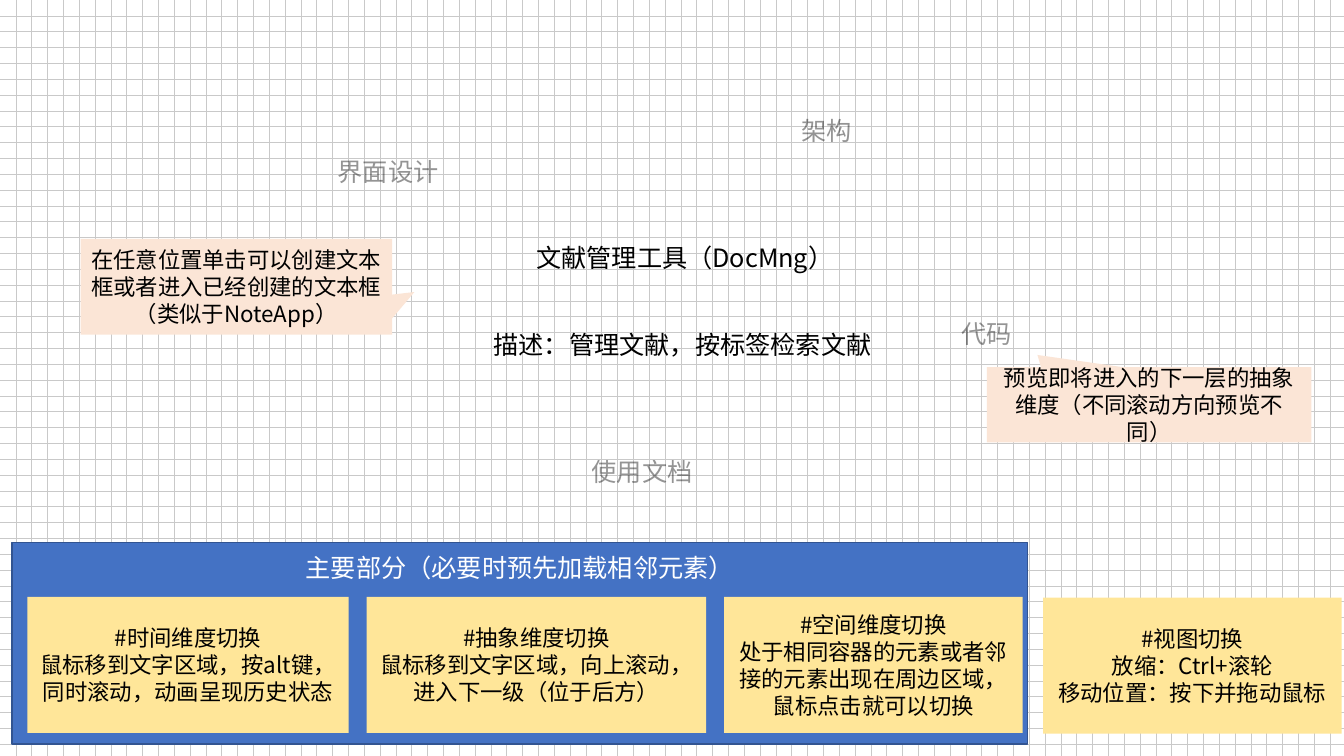
"""Build the slide that outlines a literature management tool."""
import pptx
import pptx.util
import pptx.dml.color
import pptx.enum.dml
import pptx.enum.shapes
import pptx.enum.text
import lxml.etree

Cm = pptx.util.Cm
SHAPE = pptx.enum.shapes.MSO_SHAPE
ANCHOR = pptx.enum.text.MSO_ANCHOR
ALIGN = pptx.enum.text.PP_ALIGN
FONT = "Noto Sans CJK SC"
COLORS = {
    "grid": "C9C9C9", "white": "FFFFFF", "black": "000000", "blue": "4472C4",
    "edge": "325491", "yellow": "FFE699", "peach": "FBE5D6",
}


def rgb(name):
    return pptx.dml.color.RGBColor.from_string(COLORS[name])


def write(box, lines, size=18, color="black", align=ALIGN.LEFT, anchor=ANCHOR.TOP,
          wrap=True, grow=False, opacity=100):
    frame = box.text_frame
    frame.word_wrap = wrap
    frame.vertical_anchor = anchor
    fit = pptx.enum.text.MSO_AUTO_SIZE
    frame.auto_size = fit.SHAPE_TO_FIT_TEXT if grow else fit.NONE
    for index, line in enumerate(lines):
        para = frame.paragraphs[0] if index == 0 else frame.add_paragraph()
        para.alignment = align
        para.line_spacing = 1.0
        span = para.add_run()
        span.text = line
        span.font.size = pptx.util.Pt(size)
        span.font.color.rgb = rgb(color)
        span.font.name = FONT
        properties = span.font._element
        space = "{%s}" % properties.nsmap["a"]
        lxml.etree.SubElement(properties, space + "ea", typeface=FONT)
        if opacity < 100:
            tint = properties.find(f".//{space}srgbClr")
            lxml.etree.SubElement(tint, space + "alpha", val=str(opacity * 1000))


deck = pptx.Presentation()
deck.slide_width, deck.slide_height = Cm(33.87), Cm(19.05)
page = deck.slides.add_slide(deck.slide_layouts[5])

backdrop = page.background.fill
backdrop.patterned()
backdrop.pattern = pptx.enum.dml.MSO_PATTERN.DOTTED_GRID
backdrop.fore_color.rgb = rgb("grid")
backdrop.back_color.rgb = rgb("white")

title = page.shapes.title
title.left, title.top, title.width, title.height = Cm(13.26), Cm(5.97), Cm(8.03), Cm(1.02)
write(title, ["文献管理工具（DocMng）"], grow=True)

labels = [
    ("描述：管理文献，按标签检索文献", 12.19, 8.18, 10.13, 100),
    ("界面设计", 8.26, 3.81, 3.07, 41),
    ("架构", 19.94, 2.77, 2.84, 41),
    ("使用文档", 14.66, 11.38, 3.07, 41),
    ("代码", 23.98, 7.9, 1.8, 41),
]
for text, left, top, width, opacity in labels:
    label = page.shapes.add_textbox(Cm(left), Cm(top), Cm(width), Cm(1.02))
    write(label, [text], wrap=text == "架构", grow=True, opacity=opacity)

main_group = page.shapes.add_group_shape()
panel = main_group.shapes.add_shape(SHAPE.RECTANGLE, Cm(0.3), Cm(13.67), Cm(25.6), Cm(5.08))
panel.shadow.inherit = False
panel.fill.solid()
panel.fill.fore_color.rgb = rgb("blue")
panel.line.color.rgb = rgb("edge")
panel.line.width = pptx.util.Pt(1)
panel.text_frame.margin_top = Cm(0.25)
write(panel, ["主要部分（必要时预先加载相邻元素）"], color="white", align=ALIGN.CENTER)

notes = [
    (page, SHAPE.RECTANGULAR_CALLOUT, "peach", 2.03, 6.02, 7.85, 2.41, (0.572, 0.056),
     ["在任意位置单击可以创建文本框或者进入已经创建的文本框（类似于NoteApp）"]),
    (page, SHAPE.RECTANGULAR_CALLOUT, "peach", 24.87, 9.25, 8.18, 1.9, (-0.344, -0.66),
     ["预览即将进入的下一层的抽象维度（不同滚动方向预览不同）"]),
    (page, SHAPE.RECTANGLE, "yellow", 26.29, 15.06, 7.52, 3.43, (),
     ["#视图切换", "放缩：Ctrl+滚轮", "移动位置：按下并拖动鼠标"]),
]
card_left, card_gap = 0.69, 0.45
cards = [
    (8.1, ["#时间维度切换", "鼠标移到文字区域，按alt键，同时滚动，动画呈现历史状态"]),
    (8.56, ["#抽象维度切换", "鼠标移到文字区域，向上滚动，进入下一级（位于后方）"]),
    (7.52, ["#空间维度切换",
            "处于相同容器的元素或者邻接的元素出现在周边区域，鼠标点击就可以切换"]),
]
for width, lines in cards:
    notes.append((main_group, SHAPE.RECTANGLE, "yellow", card_left, 15.04, width, 3.43, (), lines))
    card_left += width + card_gap

for parent, kind, color, left, top, width, height, tip, lines in notes:
    note = parent.shapes.add_shape(kind, Cm(left), Cm(top), Cm(width), Cm(height))
    note.shadow.inherit = False
    note.fill.solid()
    note.fill.fore_color.rgb = rgb(color)
    note.line.fill.background()
    for index, value in enumerate(tip):
        note.adjustments[index] = value
    write(note, lines, size=16, align=ALIGN.CENTER, anchor=ANCHOR.MIDDLE)

deck.save("out.pptx")
